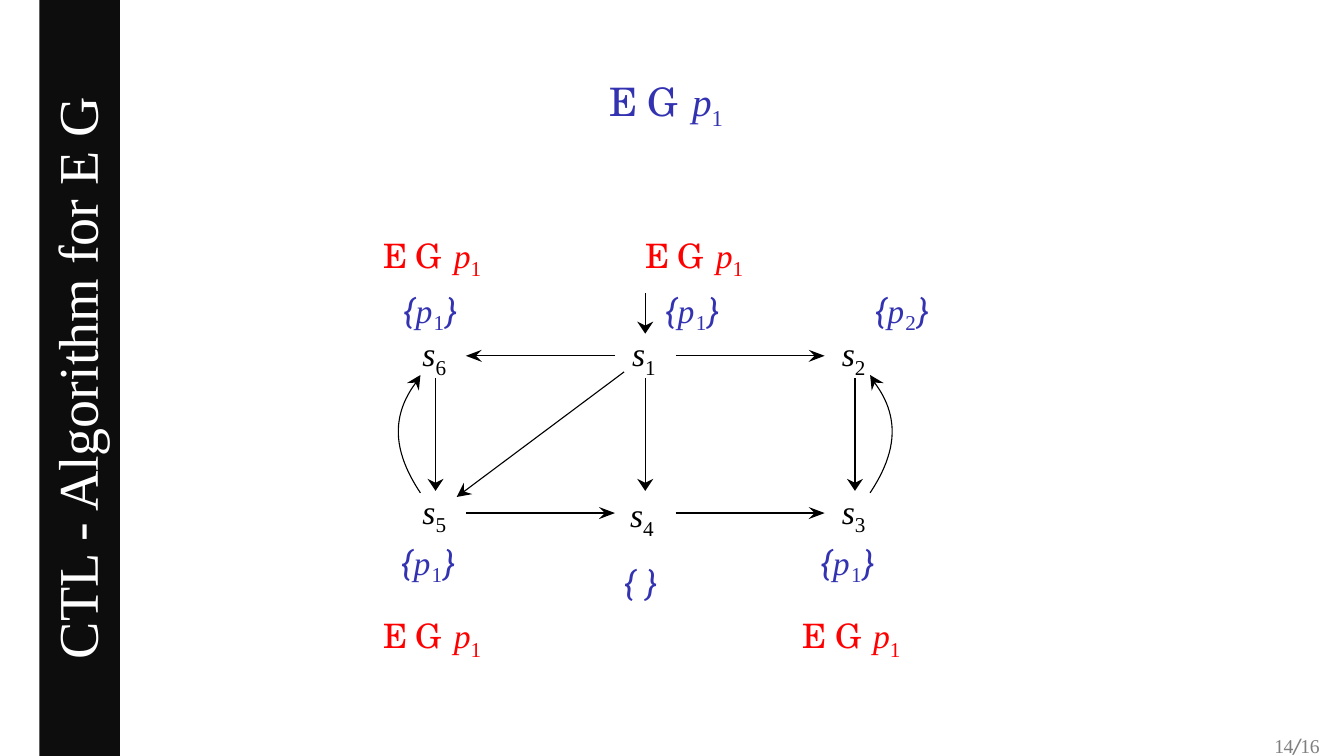
from math import hypot

from lxml.etree import SubElement
from pptx import Presentation
from pptx.dml.color import RGBColor
from pptx.enum.shapes import MSO_CONNECTOR, MSO_SHAPE
from pptx.enum.text import MSO_ANCHOR, MSO_AUTO_SIZE, PP_ALIGN
from pptx.oxml.ns import qn
from pptx.util import Inches, Pt

BLUE = RGBColor(0x33, 0x33, 0xB2)
RED = RGBColor(0xFF, 0x00, 0x00)
BLACK = RGBColor(0x00, 0x00, 0x00)
WHITE = RGBColor(0xFF, 0xFF, 0xFF)
GREY = RGBColor(0x7F, 0x7F, 0x7F)
BANNER = RGBColor(0x0D, 0x0D, 0x0D)
SERIF, SCHOOL, BRACE, SLASH = "Times New Roman", "TeX Gyre Schola", "Roboto", "DejaVu Sans"

WIDTH, HEIGHT = 13.33, 7.5
PITCH = 2.08
LEFT, MIDDLE, RIGHT = [4.32 + PITCH * column for column in range(3)]
TOP, BOTTOM = 3.53, 5.09

# Arrowheads: length, half width, distance from tip to notch
LEVEL, UPRIGHT, SLANTED = (0.16, 0.06, 0.1), (0.12, 0.08, 0.08), (0.14, 0.07, 0.09)

deck = Presentation()
deck.slide_width, deck.slide_height = Inches(WIDTH), Inches(HEIGHT)
slide = deck.slides.add_slide(deck.slide_layouts[6])


def add_label(x, y, width, height, paragraphs, top_inset=0.03):
    """Paragraphs are (indent, space before, colour, runs);
    runs are (text, font, size, italic, spacing, baseline percent)."""
    box = slide.shapes.add_textbox(Inches(x), Inches(y), Inches(width), Inches(height))
    frame = box.text_frame
    frame_format = {"word_wrap": True, "auto_size": MSO_AUTO_SIZE.SHAPE_TO_FIT_TEXT,
                    "margin_left": 0, "margin_right": 0, "margin_bottom": 0,
                    "margin_top": Inches(top_inset)}
    for name, value in frame_format.items():
        setattr(frame, name, value)
    for number, (indent, before, colour, runs) in enumerate(paragraphs):
        paragraph = frame.add_paragraph() if number else frame.paragraphs[0]
        if before:
            paragraph.space_before = Pt(before)
        properties = paragraph._p.get_or_add_pPr()
        properties.set("marL", str(Inches(indent)))
        properties.set("indent", "0")
        for text, font, size, italic, spacing, baseline in runs:
            run = paragraph.add_run()
            run.text = text
            font_format = {"name": font, "size": Pt(size), "italic": italic}
            for name, value in font_format.items():
                setattr(run.font, name, value)
            run.font.color.rgb = colour
            run_properties = run.font._element
            run_properties.set("spc", str(round(spacing * 100)))
            if baseline:
                run_properties.set("baseline", str(baseline * 1000))


def add_arrowhead(origin, tip, proportions):
    """Draw a swept-back head pointing from origin to tip; return its notch."""
    length, half_width, notch_depth = proportions
    reach = hypot(tip[0] - origin[0], tip[1] - origin[1])
    along, down = (tip[0] - origin[0]) / reach, (tip[1] - origin[1]) / reach
    corners = [(tip[0] - along * back - down * out, tip[1] - down * back + along * out)
               for back, out in [(length, half_width), (notch_depth, 0),
                                 (length, -half_width), (0, 0)]]
    outline = [(Inches(x), Inches(y)) for x, y in corners]
    builder = slide.shapes.build_freeform(*outline[0])
    builder.add_line_segments(outline[1:], close=True)
    head = builder.convert_to_shape()
    head.shadow.inherit = False
    head.fill.solid()
    head.fill.fore_color.rgb = BLACK
    head.line.fill.background()
    return corners[1]


# Formula and state notation
formula = [("E ", SCHOOL, 28, False, -0.8, 0), ("G ", SCHOOL, 28, False, 1.3, 0),
           ("p", SERIF, 28, True, -0.8, 0), ("1", SERIF, 28, False, -1.2, -24)]
satisfied = [("E ", SCHOOL, 24, False, -0.7, 0), ("G ", SCHOOL, 24, False, 0.9, 0),
             ("p", SERIF, 24, True, -0.7, 0), ("1", SERIF, 26, False, -1, -24)]
state = {n: [("s", SERIF, 24, True, -1.4, 0), (str(n), SERIF, 26, False, -2.1, -24)]
         for n in range(1, 7)}
props = {n: [("{", BRACE, 24, True, 0.9, 0), ("p", SERIF, 24, True, 0.9, 0),
             (str(n), SERIF, 26, False, 1.4, -20), ("}", BRACE, 24, True, 0.9, 0)]
         for n in (1, 2)}
no_props = [("{ }", BRACE, 24, True, 1, 0)]

add_label(5.94, 0.74, 1.42, 0.5, [(0.1, 0, BLUE, formula)])

# States
for number, x, y in [(1, MIDDLE, TOP), (2, RIGHT, TOP), (3, RIGHT, BOTTOM),
                     (5, LEFT, BOTTOM), (6, LEFT, TOP)]:
    add_label(x - 0.23, y - 0.28, 0.45, 0.44, [(0.1, 0, BLACK, state[number])])

# Straight transitions
side_gap, half_gap = 0.3, 0.22
transitions = [
    ((MIDDLE + side_gap, TOP), (RIGHT - side_gap, TOP), LEVEL),
    ((MIDDLE - side_gap, TOP), (LEFT + side_gap, TOP), LEVEL),
    ((LEFT + side_gap, BOTTOM), (MIDDLE - side_gap, BOTTOM), LEVEL),
    ((MIDDLE + side_gap, BOTTOM), (RIGHT - side_gap, BOTTOM), LEVEL),
    ((MIDDLE - 0.21, TOP + 0.16), (LEFT + 0.21, BOTTOM - 0.16), SLANTED),
    ((MIDDLE, TOP - 0.62), (MIDDLE, TOP - half_gap), UPRIGHT),
]
transitions += [((x, TOP + half_gap), (x, BOTTOM - half_gap), UPRIGHT)
                for x in (LEFT, MIDDLE, RIGHT)]
strokes = []
for origin, tip, proportions in transitions:
    notch = add_arrowhead(origin, tip, proportions)
    transition = slide.shapes.add_connector(MSO_CONNECTOR.STRAIGHT,
                                            *map(Inches, origin + notch))
    strokes.append(transition)

# Curved transitions back to the upper row
STEPS = 24
for x, side in [(LEFT, -1), (RIGHT, 1)]:
    curve = []
    for step in range(STEPS + 1):
        t = step / STEPS
        weights = ((1 - t) ** 3, 3 * t * (1 - t) ** 2, 3 * t * t * (1 - t), t ** 3)
        bend = sum(w * reach for w, reach in zip(weights, (0.15, 0.43, 0.44, 0.19)))
        rise = sum(w * level for w, level in zip(weights, (4.89, 4.47, 4.12, 3.79)))
        curve.append((Inches(x + side * bend), Inches(rise)))
    builder = slide.shapes.build_freeform(*curve[0])
    builder.add_line_segments(curve[1:], close=False)
    loop = builder.convert_to_shape()
    loop.fill.background()
    strokes.append(loop)
    add_arrowhead((x + side * 0.22, 3.83), (x + side * 0.15, 3.72), SLANTED)

for stroke in strokes:
    stroke.line.color.rgb = BLACK
    stroke.line.width = Pt(0.8)
    SubElement(stroke._element.spPr, qn("a:effectLst"))

# Propositions and results beside the states
for x, proposition in [(LEFT - 0.42, 1), (MIDDLE + 0.1, 1), (RIGHT + 0.1, 2)]:
    add_label(x, TOP - 0.71, 0.84, 0.44, [(0.1, 0, BLUE, props[proposition])])
for x in (LEFT - 0.62, MIDDLE - 0.1):
    add_label(x, TOP - 1.26, 1.23, 0.44, [(0.1, 0, RED, satisfied)])
for x in (LEFT, RIGHT):
    add_label(x - 0.62, BOTTOM + 0.23, 1.23, 1.09,
              [(0.28, 0, BLUE, props[1]), (0.1, 18, RED, satisfied)])
add_label(MIDDLE - 0.31, BOTTOM - 0.46, 0.62, 1.28,
          [(0.16, 0, BLACK, state[4]), (0.1, 15.7, BLUE, no_props)], top_inset=0.24)

add_label(12.61, 7.26, 0.6, 0.26, [(0.03, 0, GREY, [
    ("14", SERIF, 14, False, -0.3, 0), ("/", SLASH, 14, True, 0.2, 0),
    ("16", SERIF, 14, False, -0.3, 0)])], top_inset=0.02)

# Title banner, turned to run up the full height
banner_centre, banner_depth = 0.79, 0.8
banner = slide.shapes.add_shape(
    MSO_SHAPE.RECTANGLE, Inches(banner_centre - HEIGHT / 2),
    Inches((HEIGHT - banner_depth) / 2), Inches(HEIGHT), Inches(banner_depth))
banner.rotation = 270
banner.shadow.inherit = False
banner.fill.solid()
banner.fill.fore_color.rgb = BANNER
banner.line.fill.background()
banner.text_frame.vertical_anchor = MSO_ANCHOR.MIDDLE
title = banner.text_frame.paragraphs[0]
title.text = "CTL - Algorithm for E G"
title.alignment = PP_ALIGN.CENTER
title.line_spacing = 0.9
for name, value in {"name": SERIF, "size": Pt(40)}.items():
    setattr(title.font, name, value)
title.font.color.rgb = WHITE

deck.save("out.pptx")
